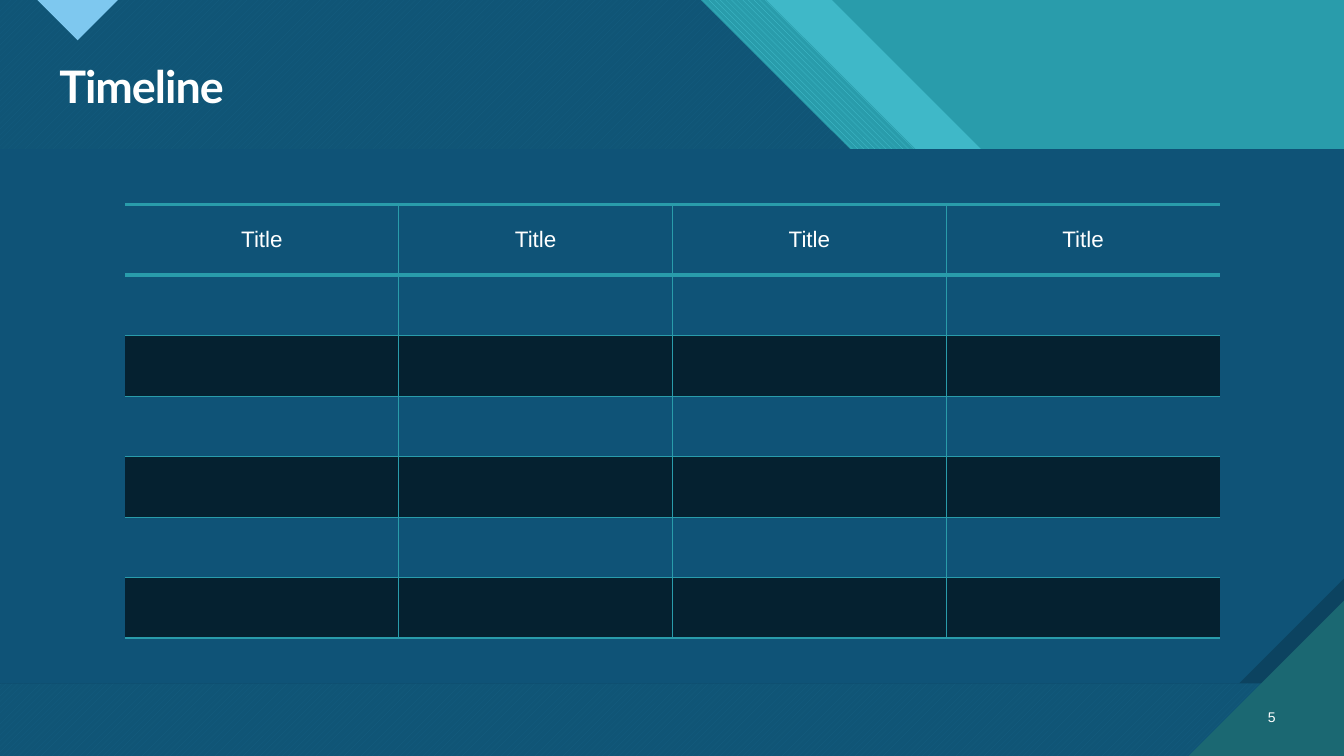
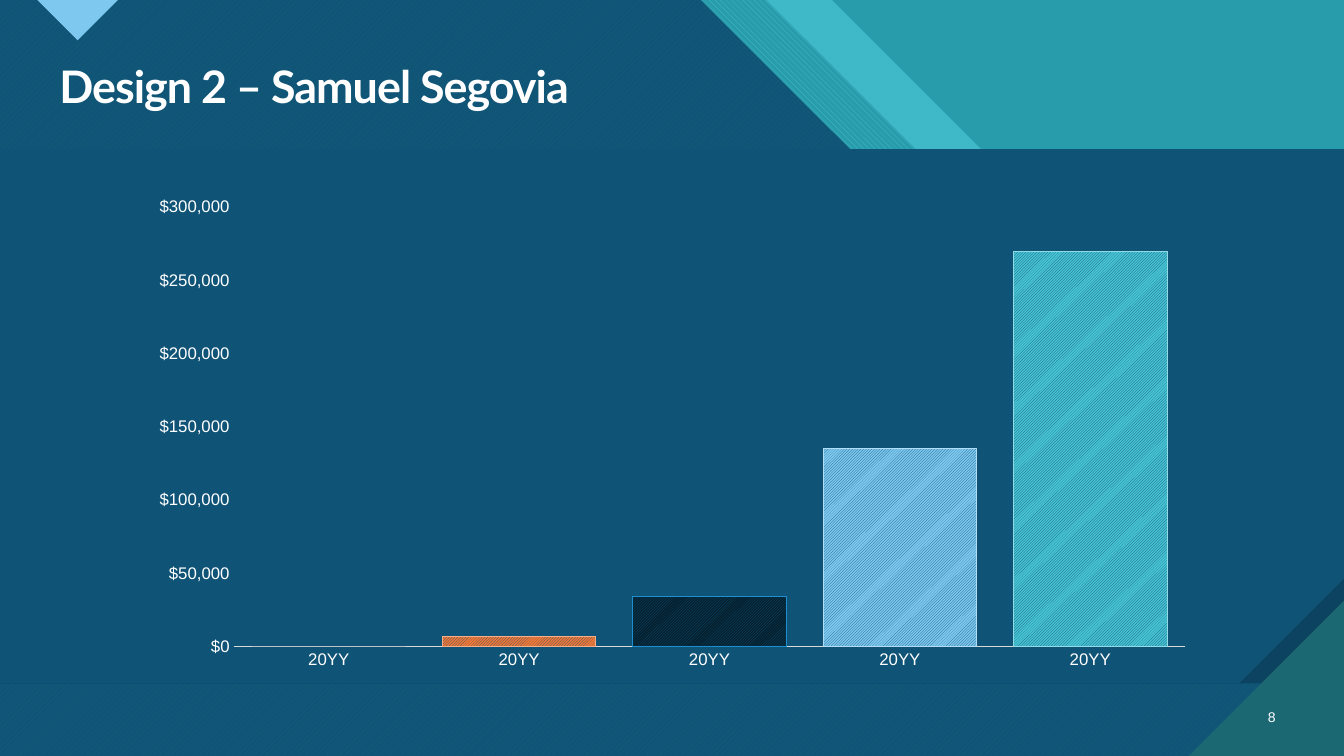
from pptx import Presentation
from pptx import util as u
from pptx.chart.data import CategoryChartData
from pptx.dml.color import RGBColor
from pptx.enum import chart as charts, dml, shapes, text
from pptx.oxml import parse_xml
from pptx.oxml.ns import nsdecls, qn

WIDTH, HEIGHT = 13.33, 7.5
NAVY, DEEP, INK = "0F5377", "0C4360", "052130"
TEAL, AQUA, PINE, SKY, ORANGE = "299CAB", "47C3D3", "1B6872", "7EC8EF", "F47735"
WHITE, GREY = "FFFFFF", "D9D9D9"
PATTERN = dml.MSO_PATTERN

TITLE_FONT = dict(name="Lato", size=u.Pt(32), bold=True)
HEADER_FONT = dict(name="Arial", size=u.Pt(16), bold=False)
NUMBER_FONT = dict(name="Arial", size=u.Pt(10))
AXIS_FONT = dict(name="Arial", size=u.Pt(12))

SHELF = 2.97
BANDS = [
    (8.25, 12.34, dict(color=AQUA, opacity=74)),
    (7.6, 11.84, dict(color=AQUA, pattern=PATTERN.WIDE_DOWNWARD_DIAGONAL, back=TEAL)),
    (6.95, 11.18, dict(color=AQUA, pattern=PATTERN.WIDE_UPWARD_DIAGONAL, back=PINE)),
    (6.95, 11.18, dict(color=NAVY, opacity=90)),
]
CHEVRON = [(0.37, 0), (1.17, 0), (0.77, 0.4)]
CORNER = [(11.79, HEIGHT), (WIDTH, HEIGHT), (WIDTH, 5.96)]
PANEL_TOP, PANEL_BOTTOM, PANEL_SNIP = 1.48, 6.78, 1.04

TABLE_AT = (1.24, 2.03, 10.86, 4.3)
HEADERS = ["Title"] * 4
ROW_HEIGHTS = [0.7] + [0.6] * 6

CHART_AT = (1.37, 1.87, 10.6, 4.86)
YEARS = ["20YY"] * 5
VALUES = [0, 7000, 34000, 135000, 270000]
BAR_COLORS = [
    (ORANGE, "F9B08A"),
    (INK, "1B8FD0"),
    (SKY, "B2DEF5"),
    (AQUA, "91DBE5"),
]


def rgb(code):
    return RGBColor.from_string(code)


def inches(values):
    return [u.Inches(value) for value in values]


def assign(target, **values):
    for name, value in values.items():
        setattr(target, name, value)


def style_font(font, values, color=WHITE):
    assign(font, **values)
    font.color.rgb = rgb(color)


def paint(fill, color, pattern=None, back=None):
    if pattern is None:
        fill.solid()
        fill.fore_color.rgb = rgb(color)
    else:
        fill.patterned()
        fill.pattern = pattern
        fill.fore_color.rgb = rgb(color)
        fill.back_color.rgb = rgb(back)


def finish(shape, color, opacity=None, **pattern):
    shape.shadow.inherit = False
    shape.line.fill.background()
    paint(shape.fill, color, **pattern)
    if opacity:
        tint = shape.element.spPr.find(".//" + qn("a:srgbClr"))
        tint.append(parse_xml(f'<a:alpha {nsdecls("a")} val="{opacity * 1000}"/>'))


def add_polygon(page, points, **look):
    corners = [inches(point) for point in points]
    builder = page.shapes.build_freeform(*corners[0], scale=1.0)
    builder.add_line_segments(corners[1:], close=True)
    finish(builder.convert_to_shape(), **look)


def add_text(page, at, words, font, align=text.PP_ALIGN.LEFT,
             anchor=text.MSO_ANCHOR.TOP, line_spacing=None, tracking=None):
    frame = page.shapes.add_textbox(*inches(at)).text_frame
    assign(frame, word_wrap=True, vertical_anchor=anchor)
    para = frame.paragraphs[0]
    assign(para, alignment=align, line_spacing=line_spacing)
    span = para.add_run()
    span.text = words
    style_font(span.font, font)
    if tracking:
        span.font._element.set("spc", str(tracking))


def add_backdrop(page):
    base = page.shapes.add_shape(
        shapes.MSO_SHAPE.RECTANGLE, *inches((0, 0, WIDTH, HEIGHT)))
    finish(base, TEAL)
    for top, shelf_end, look in BANDS:
        add_polygon(page, [
            (0, 0), (top, 0), (top + SHELF, SHELF), (shelf_end, SHELF),
            (WIDTH, SHELF + WIDTH - shelf_end), (WIDTH, HEIGHT), (0, HEIGHT),
        ], **look)
    add_polygon(page, CHEVRON, color=SKY)
    for color, snip in ((DEEP, 0), (NAVY, PANEL_SNIP)):
        panel = page.shapes.add_shape(
            shapes.MSO_SHAPE.SNIP_1_RECTANGLE,
            *inches((0, PANEL_TOP, WIDTH, PANEL_BOTTOM - PANEL_TOP)))
        panel.adjustments[0] = snip / (PANEL_BOTTOM - PANEL_TOP)
        panel.element.spPr.find(qn("a:xfrm")).set("flipV", "1")
        finish(panel, color)
    add_polygon(page, CORNER, color=PINE)


def add_page(deck, title, number):
    page = deck.slides.add_slide(deck.slide_layouts[6])
    add_backdrop(page)
    add_text(page, (0.49, 0.59, 12.26, 0.59), title, TITLE_FONT,
             line_spacing=0.9, tracking=-70)
    add_text(page, (12.31, 6.91, 0.44, 0.4), str(number), NUMBER_FONT,
             text.PP_ALIGN.RIGHT, text.MSO_ANCHOR.MIDDLE)
    return page


def add_borders(cell, **widths):
    props = cell._tc.get_or_add_tcPr()
    for side in "LRTB":
        width = widths[side]
        look = f'<a:solidFill><a:srgbClr val="{TEAL}"/></a:solidFill>' if width else "<a:noFill/>"
        props.append(parse_xml(
            f'<a:ln{side} {nsdecls("a")} w="{u.Pt(width)}">{look}</a:ln{side}>'))


def add_timeline(page):
    rows, columns = len(ROW_HEIGHTS), len(HEADERS)
    table = page.shapes.add_table(rows, columns, *inches(TABLE_AT)).table
    assign(table, first_row=False, horz_banding=False)
    for column in table.columns:
        column.width = u.Inches(TABLE_AT[2] / columns)
    for r, height in enumerate(ROW_HEIGHTS):
        table.rows[r].height = u.Inches(height)
        for c, header in enumerate(HEADERS):
            cell = table.cell(r, c)
            add_borders(cell, L=int(c > 0), R=int(c < columns - 1),
                        T=3 if r < 2 else 1, B=3 if r == 0 else 1)
            if r and r % 2 == 0:
                paint(cell.fill, INK)
            else:
                cell.fill.background()
            if r == 0:
                cell.vertical_anchor = text.MSO_ANCHOR.MIDDLE
                para = cell.text_frame.paragraphs[0]
                para.alignment = text.PP_ALIGN.CENTER
                span = para.add_run()
                span.text = header
                style_font(span.font, HEADER_FONT)


def add_growth_chart(page):
    data = CategoryChartData()
    data.categories = YEARS
    data.add_series("Series 1", VALUES)
    chart = page.shapes.add_chart(
        charts.XL_CHART_TYPE.COLUMN_CLUSTERED, *inches(CHART_AT), data).chart
    assign(chart, has_legend=False, has_title=False)
    style_font(chart.font, NUMBER_FONT, "000000")
    for axis in (chart.category_axis, chart.value_axis):
        assign(axis, has_major_gridlines=False,
               major_tick_mark=charts.XL_TICK_MARK.NONE,
               minor_tick_mark=charts.XL_TICK_MARK.NONE)
        style_font(axis.tick_labels.font, AXIS_FONT)
    baseline = chart.category_axis.format.line
    baseline.width = u.Pt(0.75)
    baseline.color.rgb = rgb(GREY)
    amounts = chart.value_axis
    assign(amounts, minimum_scale=0, maximum_scale=300000, major_unit=50000)
    assign(amounts.tick_labels, number_format="[$$-409]#,##0",
           number_format_is_linked=False)
    amounts.format.line.fill.background()

    plot = chart.plots[0]
    assign(plot, gap_width=24, vary_by_categories=False)
    series = plot.series[0]
    paint(series.format.fill, INK)
    for index, (color, edge) in enumerate(BAR_COLORS, start=1):
        bar = series.points[index].format
        paint(bar.fill, NAVY, PATTERN.LIGHT_UPWARD_DIAGONAL, color)
        bar.line.width = u.Pt(0.75)
        bar.line.color.rgb = rgb(edge)


PAGES = [
    ("Timeline", 5, add_timeline),
    ("Design 2 – Samuel Segovia", 8, add_growth_chart),
]

deck = Presentation()
assign(deck, slide_width=u.Inches(WIDTH), slide_height=u.Inches(HEIGHT))
for title, number, add_content in PAGES:
    add_content(add_page(deck, title, number))
deck.save("out.pptx")
